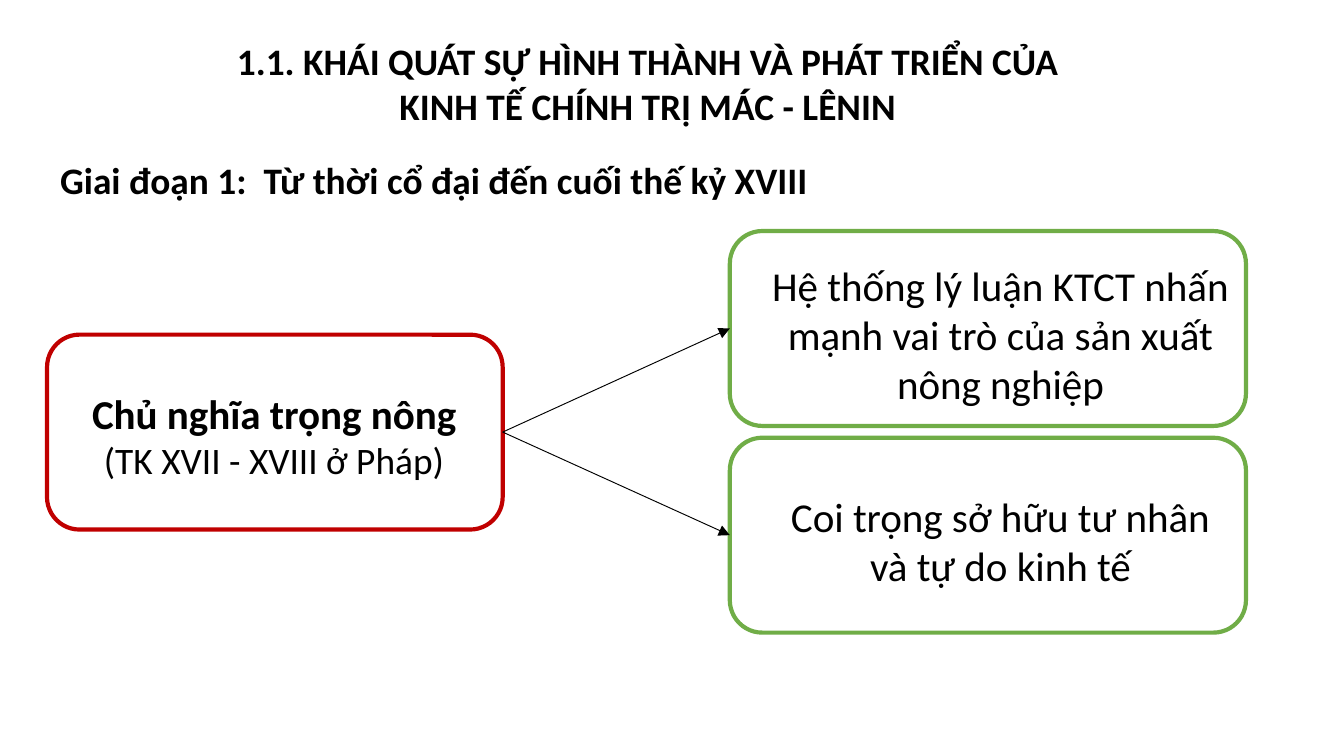
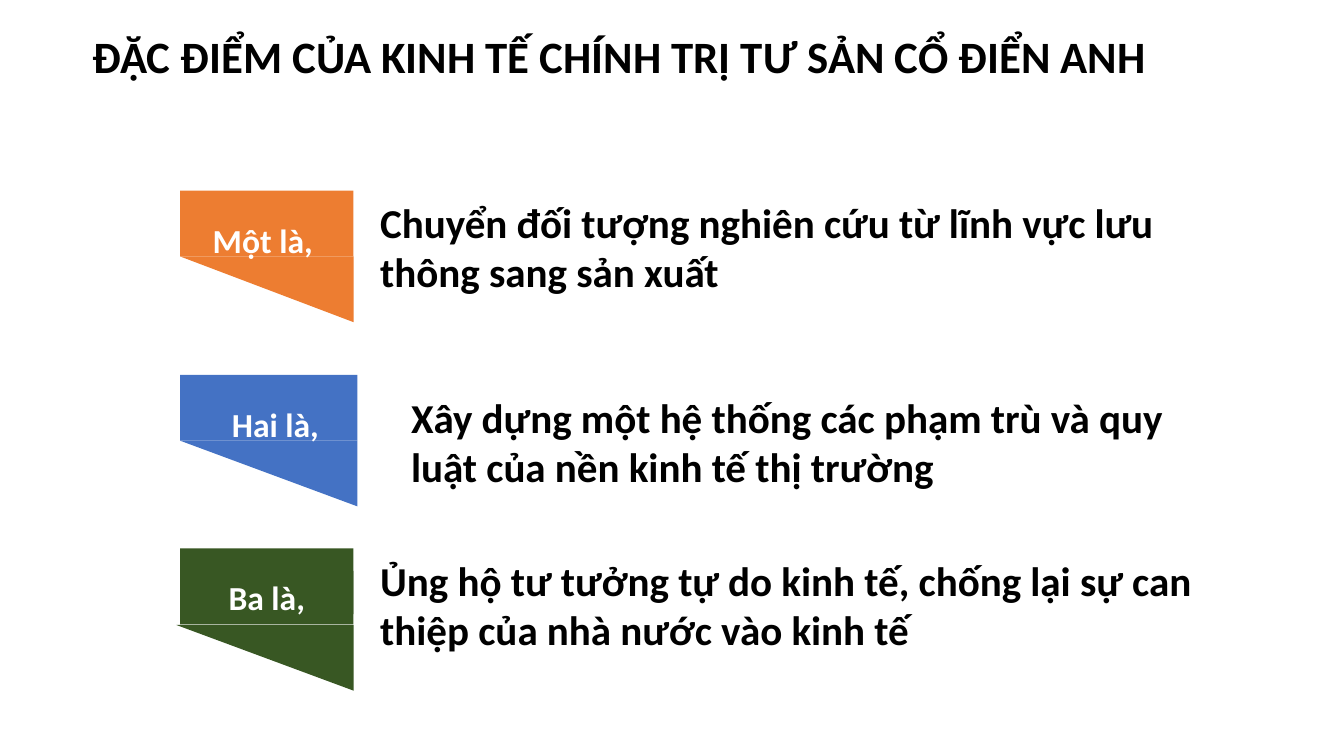
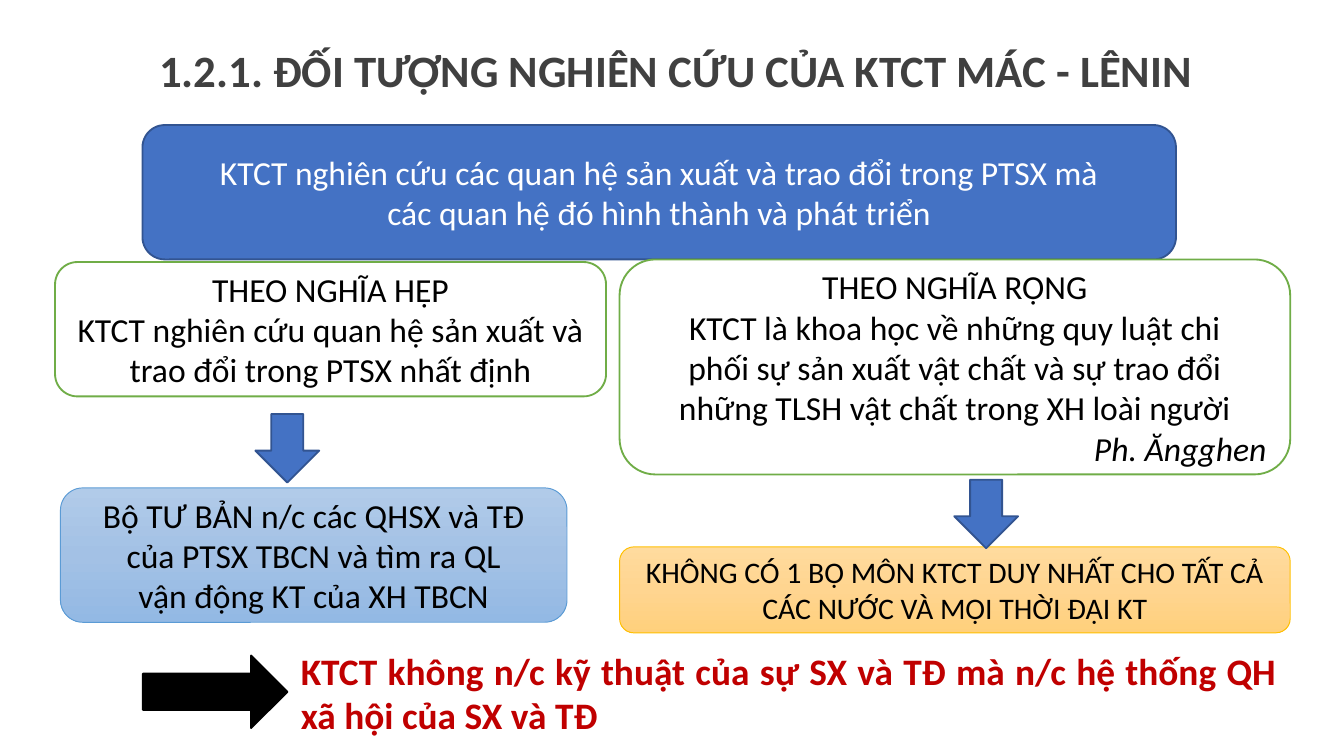
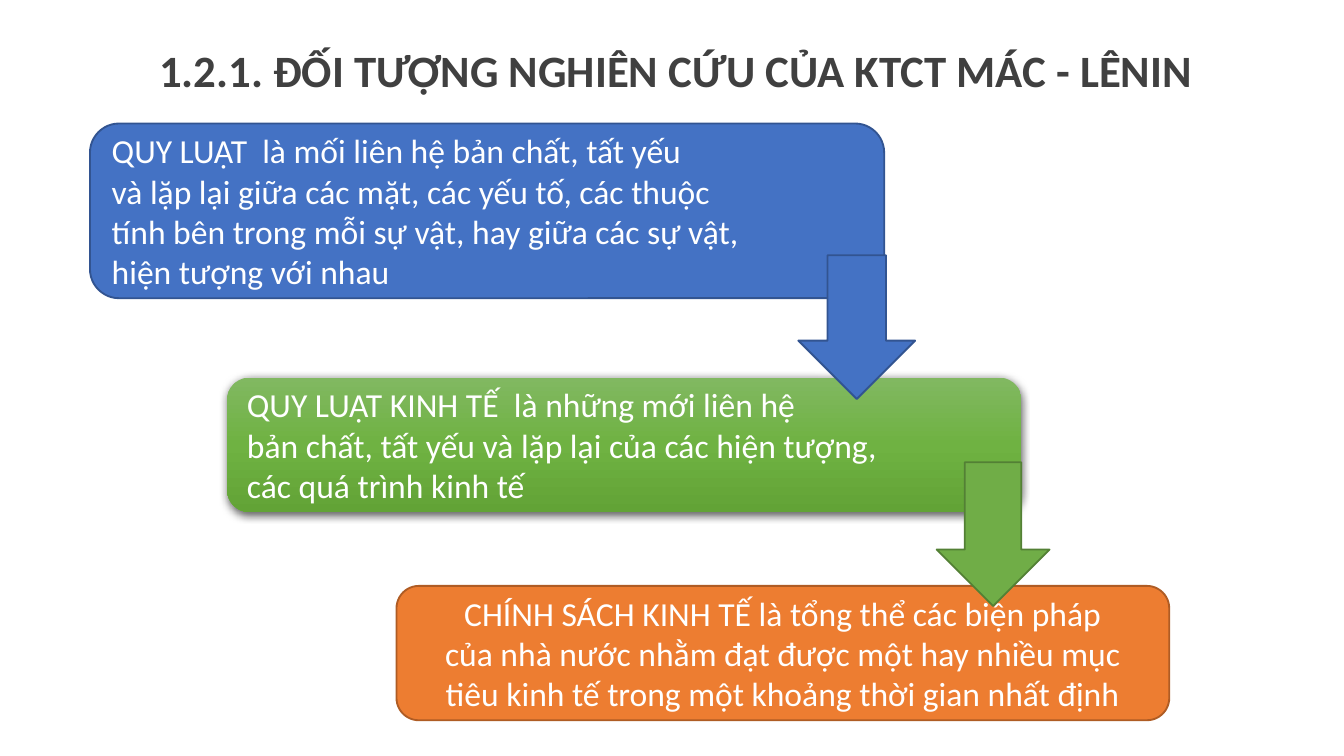
import copy

import lxml.etree
import pptx
import pptx.dml.color
import pptx.enum.shapes
import pptx.enum.text
import pptx.oxml.ns
import pptx.util

Pt = pptx.util.Pt
qn = pptx.oxml.ns.qn
SHAPE = pptx.enum.shapes.MSO_SHAPE
ALIGN = pptx.enum.text.PP_ALIGN
ANCHOR = pptx.enum.text.MSO_ANCHOR

FONT = "Calibri"
COLOURS = {
    "black": "000000",
    "white": "FFFFFF",
    "title grey": "404040",
    "red": "C00000",
    "blue": "4472C4",
    "blue edge": "325491",
    "green": "70AD47",
    "green edge": "538035",
    "dark green": "385723",
    "orange": "ED7D31",
    "orange edge": "AF5C24",
    "sky edge": "5B9BD5",
    "gold edge": "FFC000",
}
GRADIENTS = {
    "sky": ("B1CBE9", "A3C1E5", "93B9E4"),
    "gold": ("FFDB9E", "FFD590", "FFD07C"),
    "leaf": ("81B861", "6FB242", "62A336"),
}
SUBJECT_TITLE = "1.2.1. ĐỐI TƯỢNG NGHIÊN CỨU CỦA KTCT MÁC - LÊNIN"
SUBJECT_BOUNDS = (2, 10.1, 720, 45.4)


def colour(name):
    return pptx.dml.color.RGBColor.from_string(COLOURS[name])


def write(shape, text, size, colour_name="black", bold=False,
          align=ALIGN.CENTER, anchor=ANCHOR.MIDDLE, spacing=None):
    frame = shape.text_frame
    frame.text = text
    frame.word_wrap = True
    frame.auto_size = pptx.enum.text.MSO_AUTO_SIZE.NONE
    frame.vertical_anchor = anchor
    for paragraph in frame.paragraphs:
        paragraph.alignment = align
        if spacing:
            paragraph.line_spacing = spacing
        for run in paragraph.runs:
            run.font.name = FONT
            run.font.size = Pt(size)
            run.font.bold = bold
            run.font.color.rgb = colour(colour_name)


def add_slide(presentation, title, bounds, size=24, colour_name="black", **style):
    """Add a slide whose title placeholder is moved to bounds and formatted."""
    slide = presentation.slides.add_slide(presentation.slide_layouts[5])
    placeholder = slide.shapes.title
    placeholder.left, placeholder.top, placeholder.width, placeholder.height = map(Pt, bounds)
    write(placeholder, title, size, colour_name, bold=True, **style)
    return slide


def add_text(slide, bounds, text, size, colour_name="black", **style):
    box = slide.shapes.add_textbox(*map(Pt, bounds))
    write(box, text, size, colour_name, **style)
    return box


def fill_gradient(shape, stop_colours):
    """Fill from top to bottom with three evenly spaced colours."""
    shape.fill.gradient()
    shape.fill.gradient_angle = 270
    first_stop = shape._element.spPr.find(".//" + qn("a:gs"))
    first_stop.addnext(copy.deepcopy(first_stop))
    for index, (stop, value) in enumerate(zip(shape.fill.gradient_stops, stop_colours)):
        stop.position = index / 2
        stop.color.rgb = pptx.dml.color.RGBColor.from_string(value)


def add_box(slide, kind, bounds, fill, edge=None, edge_width=1):
    """Add a preset shape; fill names a plain colour or a gradient."""
    shape = slide.shapes.add_shape(kind, *map(Pt, bounds))
    shape.shadow.inherit = False
    if fill in GRADIENTS:
        fill_gradient(shape, GRADIENTS[fill])
    else:
        shape.fill.solid()
        shape.fill.fore_color.rgb = colour(fill)
    if edge:
        shape.line.color.rgb = colour(edge)
        shape.line.width = Pt(edge_width)
    else:
        shape.line.fill.background()
    return shape


def add_panel(slide, bounds, text, fill, edge=None, edge_width=1,
              size=18, colour_name="black", **style):
    """Add a rounded box holding its own text."""
    panel = add_box(slide, SHAPE.ROUNDED_RECTANGLE, bounds, fill, edge, edge_width)
    write(panel, text, size, colour_name, **style)
    return panel


def add_shadow(shape):
    effects = shape._element.spPr.find(qn("a:effectLst"))
    shadow = lxml.etree.SubElement(
        effects, qn("a:outerShdw"), blurRad=str(Pt(4.5)), dist=str(Pt(1.5)),
        dir="5400000", algn="ctr", rotWithShape="0")
    shade = lxml.etree.SubElement(shadow, qn("a:srgbClr"), val=COLOURS["black"])
    lxml.etree.SubElement(shade, qn("a:alpha"), val="63000")


def add_link(slide, source, target):
    """Draw an arrow from the right side of source to the left side of target."""
    link = slide.shapes.add_connector(
        pptx.enum.shapes.MSO_CONNECTOR.STRAIGHT, 0, 0, 0, 0)
    link.begin_connect(source, 3)
    link.end_connect(target, 1)
    link.line.color.rgb = colour("black")
    link.line.width = Pt(0.5)
    properties = link._element.spPr
    lxml.etree.SubElement(properties.find(qn("a:ln")), qn("a:tailEnd"), type="triangle")
    lxml.etree.SubElement(properties, qn("a:effectLst"))


def add_card(slide, bounds, edge, text_bounds, text):
    """Add an outlined card with its text laid over it."""
    card = add_box(slide, SHAPE.ROUNDED_RECTANGLE, bounds, "white", edge, 2.25)
    return card, add_text(slide, text_bounds, text, 22)


def add_flag(slide, label, fill, top, width, label_left,
             point_width, point_drop=35.2, label_fill=False):
    """Add a band with a slanted lower edge and a label."""
    left, height = 96.5, 35.2
    add_box(slide, SHAPE.RECTANGLE, (left, top, width, height), fill)
    point = add_box(slide, SHAPE.ISOSCELES_TRIANGLE,
                    (left + width - point_width, top + point_drop, point_width, height), fill)
    point.adjustments[0] = 0
    point.rotation = 180
    tag = add_text(slide, (label_left, top + 12, width, 28.8), label, 18, "white",
                   bold=True, anchor=ANCHOR.TOP)
    if label_fill:
        tag.fill.solid()
        tag.fill.fore_color.rgb = colour(fill)


def build_physiocracy(presentation):
    slide = add_slide(
        presentation,
        "1.1. KHÁI QUÁT SỰ HÌNH THÀNH VÀ PHÁT TRIỂN CỦA\nKINH TẾ CHÍNH TRỊ MÁC - LÊNIN",
        (70.6, 10.1, 553, 68.4), size=20)
    add_text(slide, (0, 73.4, 465.1, 45.4),
             "Giai đoạn 1:  Từ thời cổ đại đến cuối thế kỷ XVIII", 20, bold=True)
    school, school_text = add_card(
        slide, (25.2, 179.3, 244.1, 104.4), "red", (31, 184.3, 231.8, 97.9),
        "Chủ nghĩa trọng nông\n(TK XVII - XVIII ở Pháp)")
    name, period = school_text.text_frame.paragraphs
    name.runs[0].font.bold = True
    period.runs[0].font.size = Pt(20)
    ideas = (
        "Hệ thống lý luận KTCT nhấn mạnh vai trò của sản xuất nông nghiệp",
        "Coi trọng sở hữu tư nhân và tự do kinh tế",
    )
    for index, idea in enumerate(ideas):
        top = 123.8 + index * 110.7
        card, _ = add_card(slide, (391, top, 276.5, 104.4), "green",
                           (404.6, top + 6.2, 262.8, 97.9), idea)
        add_link(slide, school, card)


def build_english_school(presentation):
    slide = add_slide(
        presentation, "ĐẶC ĐIỂM CỦA KINH TẾ CHÍNH TRỊ TƯ SẢN CỔ ĐIỂN ANH",
        (42.5, 15.1, 607, 56.9), align=ALIGN.LEFT, anchor=ANCHOR.TOP, spacing=0.9)
    add_flag(slide, "Một là,", "orange", 102.2, 92.9, 94.3, 92.9)
    add_flag(slide, "Hai là,", "blue", 200.9, 95, 100.1, 95)
    add_flag(slide, "Ba là,", "dark green", 293.8, 92.9, 96.5, 95,
             point_drop=41, label_fill=True)
    features = (
        (196.6, 102.2, 481, "Chuyển đối tượng nghiên cứu từ lĩnh vực lưu thông sang sản xuất"),
        (213.1, 206.6, 435.6,
         "Xây dựng một hệ thống các phạm trù và quy luật của nền kinh tế thị trường"),
        (196.6, 293.8, 469.4,
         "Ủng hộ tư tưởng tự do kinh tế, chống lại sự can thiệp của nhà nước vào kinh tế"),
    )
    for left, top, width, feature in features:
        add_text(slide, (left, top, width, 69.1), feature, 22, bold=True,
                 align=ALIGN.LEFT, anchor=ANCHOR.TOP)


def build_subject(presentation):
    slide = add_slide(presentation, SUBJECT_TITLE, SUBJECT_BOUNDS,
                      colour_name="title grey", spacing=1.3)
    add_panel(slide, (76.3, 67, 553.7, 72),
              "KTCT nghiên cứu các quan hệ sản xuất và trao đổi trong PTSX mà\n"
              "các quan hệ đó hình thành và phát triển",
              "blue", "blue edge", colour_name="white")
    broad = add_panel(slide, (331.9, 139, 359.3, 115.2),
                      "THEO NGHĨA RỘNG\n"
                      "KTCT là khoa học về những quy luật chi\n"
                      "phối sự sản xuất vật chất và sự trao đổi\n"
                      "những TLSH vật chất trong XH loài người\n"
                      "Ph. Ăngghen", "white", "green")
    author = broad.text_frame.paragraphs[-1]
    author.alignment = ALIGN.RIGHT
    author.runs[0].font.italic = True
    add_panel(slide, (32.4, 261.4, 271.4, 72),
              "Bộ TƯ BẢN n/c các QHSX và TĐ của PTSX TBCN và tìm ra QL\n"
              "vận động KT của XH TBCN", "sky", "sky edge", 0.5)
    add_panel(slide, (29.5, 140.4, 295.2, 72),
              "THEO NGHĨA HẸP\n"
              "KTCT nghiên cứu quan hệ sản xuất và trao đổi trong PTSX nhất định",
              "white", "green")
    add_panel(slide, (331.9, 293, 359.3, 46.1),
              "KHÔNG CÓ 1 BỘ MÔN KTCT DUY NHẤT CHO TẤT CẢ CÁC NƯỚC VÀ MỌI THỜI ĐẠI KT",
              "gold", "gold edge", 0.5, size=16)
    for left, top in ((136.8, 221.8), (511.2, 257)):
        add_box(slide, SHAPE.DOWN_ARROW, (left, top, 34.2, 36.7), "blue", "blue edge")
    add_text(slide, (154.1, 343.4, 537.1, 55.4),
             "KTCT không n/c kỹ thuật của sự SX và TĐ mà n/c hệ thống QH xã hội của SX và TĐ",
             20, "red", bold=True, align=ALIGN.JUSTIFY)
    pointer = add_box(slide, SHAPE.DOWN_ARROW, (95.8, 331.9, 38.9, 77.4), "black", "black")
    pointer.rotation = 270


def build_laws(presentation):
    slide = add_slide(presentation, SUBJECT_TITLE, SUBJECT_BOUNDS,
                      colour_name="title grey", spacing=1.3)
    add_panel(slide, (48.2, 66.2, 425.5, 93.6),
              "QUY LUẬT  là mối liên hệ bản chất, tất yếu\n"
              "và lặp lại giữa các mặt, các yếu tố, các thuộc\n"
              "tính bên trong mỗi sự vật, hay giữa các sự vật,\n"
              "hiện tượng với nhau",
              "blue", "blue edge", colour_name="white", align=ALIGN.LEFT)
    economic_law = add_panel(slide, (121.7, 202.3, 425.5, 72),
                             "QUY LUẬT KINH TẾ  là những mới liên hệ\n"
                             "bản chất, tất yếu và lặp lại của các hiện tượng,\n"
                             "các quá trình kinh tế",
                             "leaf", colour_name="white", align=ALIGN.LEFT)
    add_shadow(economic_law)
    add_panel(slide, (212.4, 313.9, 414, 72),
              "CHÍNH SÁCH KINH TẾ là tổng thể các biện pháp\n"
              "của nhà nước nhằm đạt được một hay nhiều mục tiêu kinh tế "
              "trong một khoảng thời gian nhất định",
              "orange", "orange edge", colour_name="white")
    add_box(slide, SHAPE.DOWN_ARROW, (427.7, 136.8, 62.6, 77), "blue", "blue edge")
    add_box(slide, SHAPE.DOWN_ARROW, (501.8, 247.7, 60.5, 77), "green", "green edge")


def main():
    presentation = pptx.Presentation()
    presentation.slide_width = Pt(720)
    presentation.slide_height = Pt(405)
    build_physiocracy(presentation)
    build_english_school(presentation)
    build_subject(presentation)
    build_laws(presentation)
    presentation.save("out.pptx")


if __name__ == "__main__":
    main()
